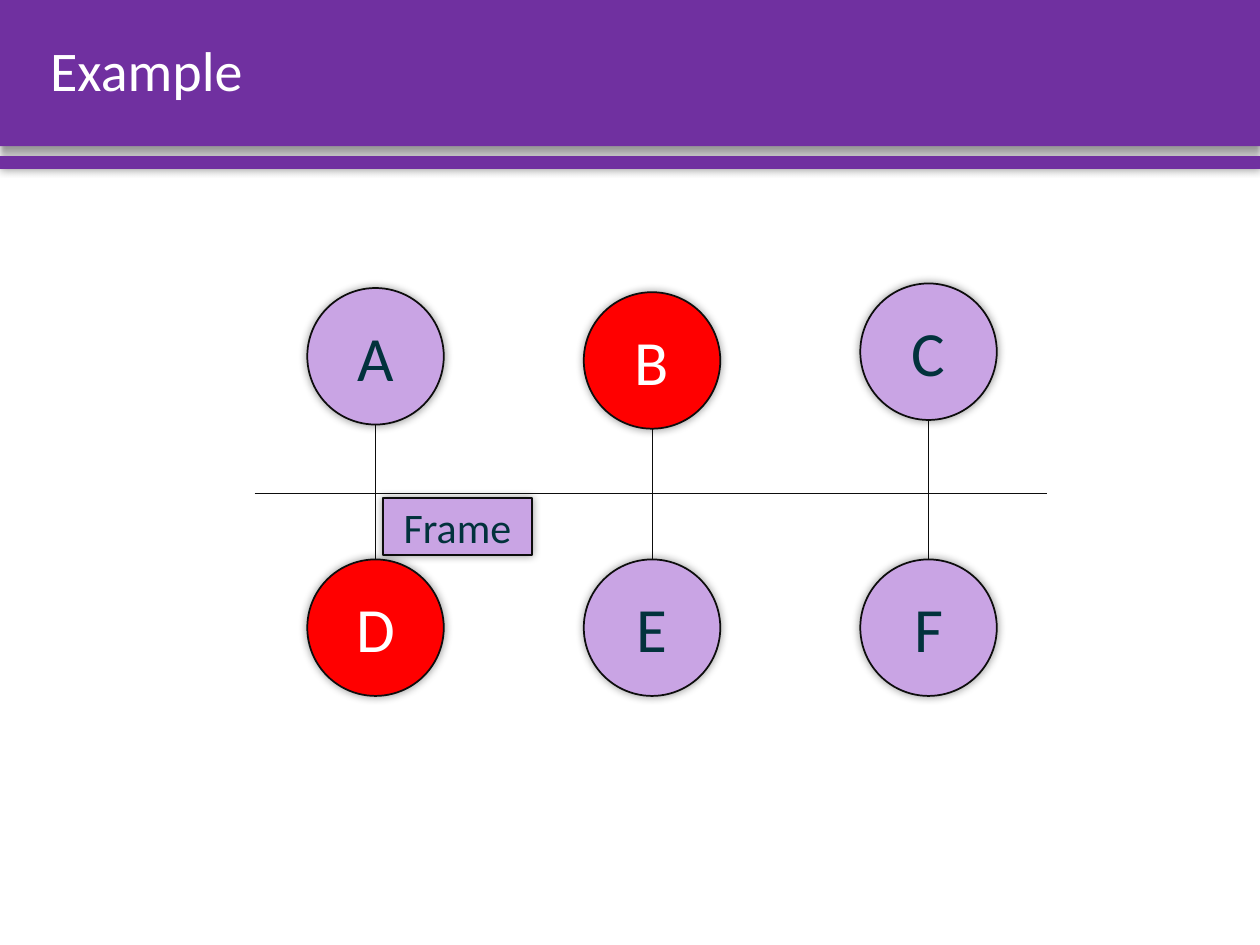
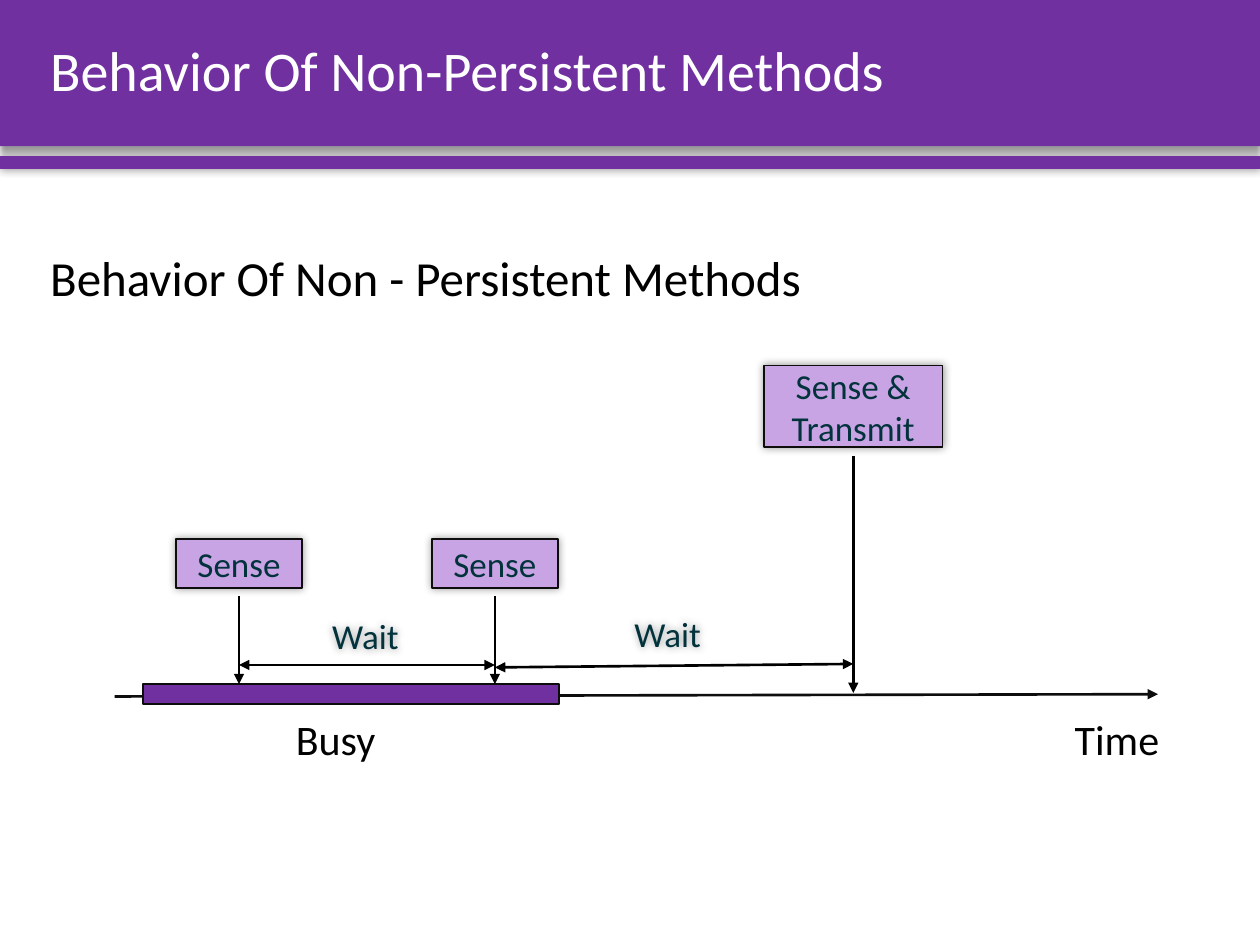
from lxml import etree
from pptx import Presentation
from pptx.dml.color import RGBColor
from pptx.enum.shapes import MSO_CONNECTOR, MSO_SHAPE
from pptx.enum.text import MSO_ANCHOR, PP_ALIGN
from pptx.oxml.ns import qn
from pptx.util import Pt

RECT, OVAL = MSO_SHAPE.RECTANGLE, MSO_SHAPE.OVAL
STRAIGHT = MSO_CONNECTOR.STRAIGHT
TOP, MIDDLE = MSO_ANCHOR.TOP, MSO_ANCHOR.MIDDLE
LEFT, CENTER = PP_ALIGN.LEFT, PP_ALIGN.CENTER

FONT = "Calibri"
COLORS = {
    "purple": "7030A0",
    "lilac": "C9A4E4",
    "red": "FF0000",
    "ink": "02323C",
    "outline": "0D0D0D",
    "black": "000000",
    "white": "FFFFFF",
}
WIDTH, HEIGHT = 720, 540
BAND_HEIGHT = 83.5
GLOW = (5, 0, 0)
DROP = (4, 3, 90)


def rgb(name):
    return RGBColor.from_string(COLORS[name])


def set_shadow(s, shadow):
    """Give s a shadow of (blur, distance, degrees), or none at all."""
    s.shadow.inherit = False
    if shadow is None:
        return
    blur, dist, angle = shadow
    effects = s._element.spPr.find(qn("a:effectLst"))
    outer = etree.SubElement(effects, qn("a:outerShdw"), blurRad=str(Pt(blur)),
                             dist=str(Pt(dist)), dir=str(angle * 60000),
                             algn="ctr", rotWithShape="0")
    color = etree.SubElement(outer, qn("a:srgbClr"), val=COLORS["black"])
    etree.SubElement(color, qn("a:alpha"), val="40000")


def write(s, text, size=20, color="ink", align=CENTER, anchor=MIDDLE,
          wrap=True, spacing=None):
    tf = s.text_frame
    tf.word_wrap = wrap
    tf.vertical_anchor = anchor
    p = tf.paragraphs[0]
    p.alignment = align
    p.line_spacing = spacing
    r = p.add_run()
    r.text = text
    r.font.name = FONT
    r.font.size = Pt(size)
    r.font.color.rgb = rgb(color)


def add_box(slide, x, y, w, h, kind=RECT, fill="lilac", outline="outline",
            shadow=GLOW):
    s = slide.shapes.add_shape(kind, Pt(x), Pt(y), Pt(w), Pt(h))
    s.fill.solid()
    s.fill.fore_color.rgb = rgb(fill)
    if outline:
        s.line.color.rgb = rgb(outline)
        s.line.width = Pt(1)
    else:
        s.line.fill.background()
    set_shadow(s, shadow)
    return s


def add_text(slide, text, x, y, w, h, shadow=None, **style):
    s = slide.shapes.add_textbox(Pt(x), Pt(y), Pt(w), Pt(h))
    set_shadow(s, shadow)
    write(s, text, **style)


def add_line(slide, x1, y1, x2, y2, width=1.5, color="black", ends=()):
    """Draw a line; ends holds "headEnd" and/or "tailEnd" for arrowheads."""
    c = slide.shapes.add_connector(STRAIGHT, Pt(x1), Pt(y1), Pt(x2), Pt(y2))
    c.line.color.rgb = rgb(color)
    c.line.width = Pt(width)
    ln = c.line._get_or_add_ln()
    for end in ends:
        etree.SubElement(ln, qn(f"a:{end}"), type="triangle")
    etree.SubElement(c._element.spPr, qn("a:effectLst"))


def add_titled_slide(prs, title):
    slide = prs.slides.add_slide(prs.slide_layouts[6])
    add_box(slide, 0, 0, WIDTH, BAND_HEIGHT, fill="purple", outline=None,
            shadow=DROP)
    add_box(slide, 0, 89.3, WIDTH, 7.2, fill="purple", outline=None)
    add_text(slide, title, 21.6, 0, 681, BAND_HEIGHT, size=32, color="white",
             align=LEFT, spacing=0.9)
    return slide


def add_node(slide, letter, cx, y, active):
    d = 78
    s = add_box(slide, cx - d / 2, y, d, d, kind=OVAL,
                fill="red" if active else "lilac")
    write(s, letter, size=36, color="white" if active else "ink")


def build_bus(prs):
    slide = add_titled_slide(prs, "Example")
    s = add_box(slide, 218.9, 284.4, 85, 33)
    write(s, "Frame", size=24)

    bus_y, reach, lower_y = 282, 59.5, 319.7
    add_line(slide, 145.5, bus_y, 598.3, bus_y, width=0.5, color="outline")
    columns = [("A", 164.6, "D"), ("B", 167, "E"), ("C", 162, "F")]
    for i, (upper, upper_y, lower) in enumerate(columns):
        cx = 214.6 + 158 * i
        for end_y in (bus_y - reach, bus_y + reach):
            add_line(slide, cx, bus_y, cx, end_y, width=0.5, color="outline")
        for letter, y in ((upper, upper_y), (lower, lower_y)):
            add_node(slide, letter, cx, y, active=letter in "BD")


def build_timeline(prs):
    slide = add_titled_slide(prs, "Behavior Of Non-Persistent Methods")
    plain = dict(color="black", align=LEFT, anchor=TOP, wrap=False)
    add_text(slide, "Behavior Of Non - Persistent Methods",
             21.6, 138.2, 511, 41, size=28, **plain)

    add_line(slide, 65.5, 398, 661.7, 396.7, color="outline", ends=["tailEnd"])
    add_box(slide, 81.6, 391, 238, 11.5, fill="purple", shadow=None)
    for text, x in (("Time", 607), ("Busy", 162)):
        add_text(slide, text, x, 404, 67, 36, size=24, **plain)

    first, second, third = 136.6, 282.8, 487.6
    events = [("Sense", first, 308, 72, 28, 391),
              ("Sense", second, 308, 72, 28, 391),
              ("Sense & Transmit", third, 208.8, 102, 46.8, 396)]
    for text, cx, y, w, h, arrow_end in events:
        write(add_box(slide, cx - w / 2, y, w, h), text)
        add_line(slide, cx, y + h + 4.8, cx, arrow_end, ends=["tailEnd"])

    waits = [(first, 380, second, 380, 172.8, 349.2),
             (second, 381.4, third, 379.4, 345.6, 347.8)]
    for x1, y1, x2, y2, label_x, label_y in waits:
        add_line(slide, x1, y1, x2, y2, ends=["headEnd", "tailEnd"])
        add_text(slide, "Wait", label_x, label_y, 72, 28, shadow=GLOW)


def main():
    prs = Presentation()
    prs.slide_width, prs.slide_height = Pt(WIDTH), Pt(HEIGHT)
    build_bus(prs)
    build_timeline(prs)
    prs.save("out.pptx")


if __name__ == "__main__":
    main()
